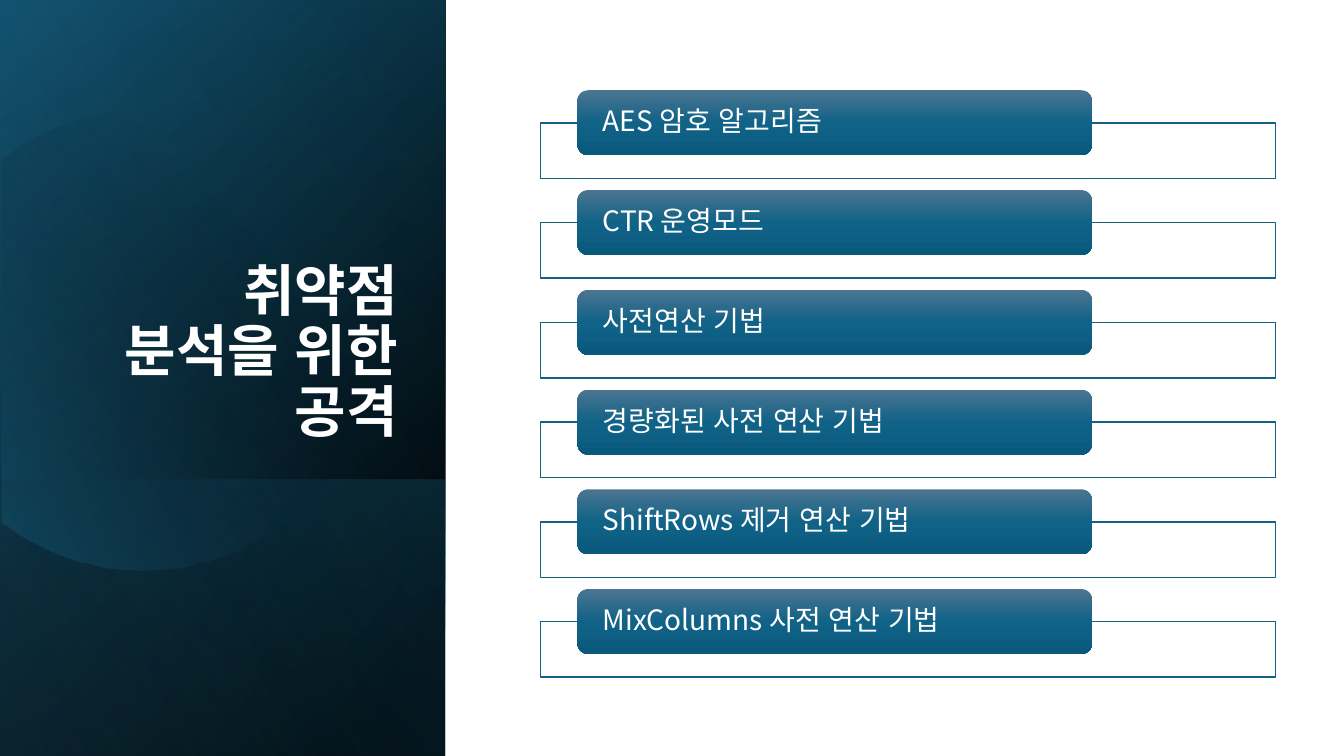
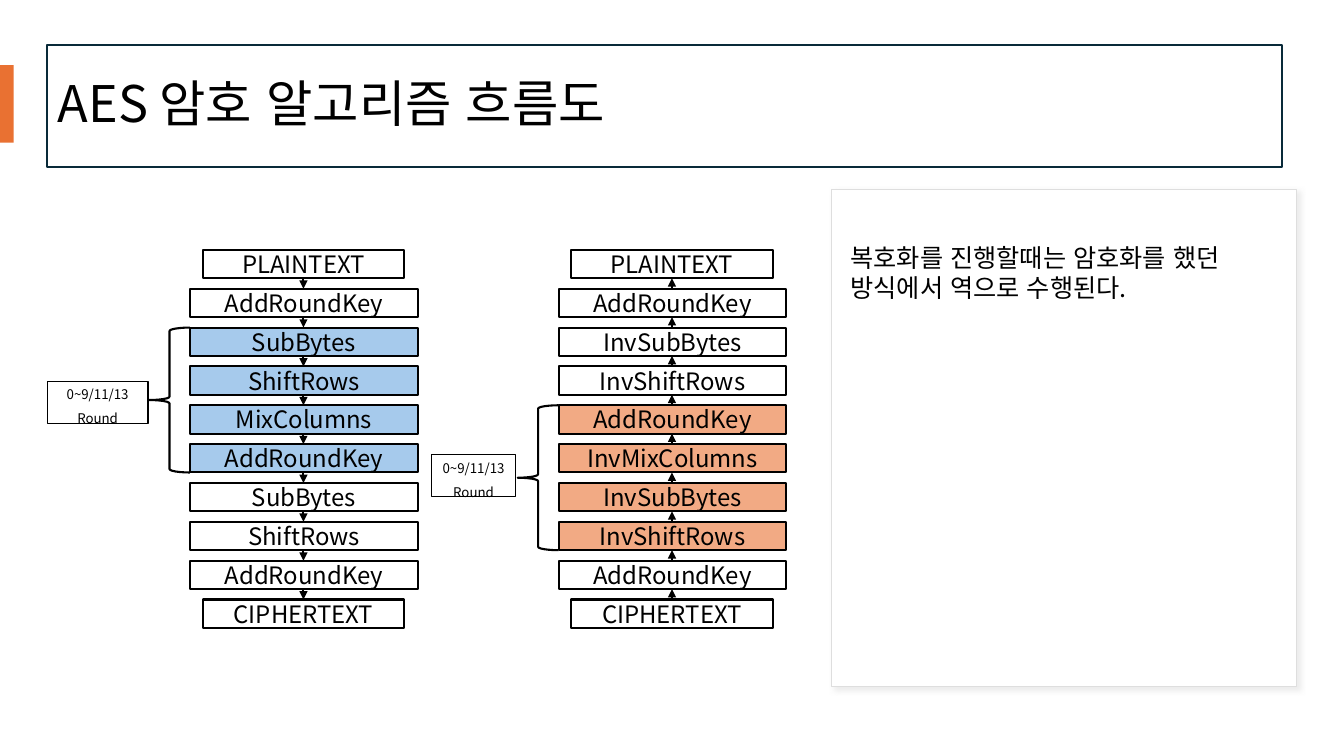
from dataclasses import dataclass
from math import cos, radians, sin

from lxml.etree import SubElement
from pptx import Presentation
from pptx.dml.color import RGBColor
from pptx.enum.lang import MSO_LANGUAGE_ID as Language
from pptx.enum.shapes import MSO_CONNECTOR as Connector, MSO_SHAPE as Preset
from pptx.enum.text import MSO_ANCHOR as Anchor, PP_ALIGN as Align
from pptx.oxml import parse_xml
from pptx.oxml.ns import nsdecls, qn
from pptx.shapes.autoshape import Shape
from pptx.slide import Slide
from pptx.util import Emu, Pt

PX = 9525


@dataclass(frozen=True)
class Theme:
    font: str = "Noto Sans CJK KR"
    white: str = "FFFFFF"
    black: str = "000000"
    blue: str = "156082"
    deep_blue: str = "104862"
    sky: str = "46B1E1"
    navy: str = "092A39"
    orange: str = "E97132"
    light_blue: str = "A6CAEC"
    light_orange: str = "F2AA84"
    card_edge: str = "DEDEDE"
    card_shadow: str = "D9D9D9"
    pill: tuple[str, ...] = ("4C7591", "106287", "09597D")
    cover_size: float = 40
    title_size: float = 36
    item_size: float = 20
    note_size: float = 18
    step_size: float = 17.1
    label_size: float = 9.5


THEME = Theme()


@dataclass(frozen=True)
class Rect:
    left: int
    top: int
    width: int
    height: int

    def emu(self) -> tuple[Emu, ...]:
        return tuple(Emu(n * PX) for n in (self.left, self.top, self.width, self.height))


@dataclass(frozen=True)
class Stop:
    position: int
    color: str
    alpha: int = 100


@dataclass(frozen=True)
class TextStyle:
    size: float
    color: str = THEME.black
    bold: bool = False
    align: Align = Align.LEFT
    anchor: Anchor = Anchor.MIDDLE
    spacing: float = 1.0
    after: float = 0
    inset: tuple[int, int] = (10, 5)
    wrap: bool = True


@dataclass(frozen=True)
class Flow:
    center: int
    steps: tuple[str, ...]
    loop_start: int
    loop_color: str
    upward: bool
    label: Rect


COVER_TITLE = TextStyle(THEME.cover_size, THEME.white, True, Align.RIGHT, Anchor.BOTTOM, 0.9)
PAGE_TITLE = TextStyle(THEME.title_size, spacing=0.9)
ITEM = TextStyle(THEME.item_size, THEME.white, spacing=0.9, inset=(21, 0))
STEP = TextStyle(THEME.step_size, align=Align.CENTER, inset=(0, 0))
LABEL = TextStyle(THEME.label_size, align=Align.CENTER, anchor=Anchor.TOP, after=6, inset=(5, 5))
NOTE = TextStyle(THEME.note_size, anchor=Anchor.TOP, wrap=False)

PANEL = Rect(0, 0, 424, 720)
PANEL_FOOT = Rect(0, 457, 424, 263)
ITEMS = (
    "AES 암호 알고리즘",
    "CTR 운영모드",
    "사전연산 기법",
    "경량화된 사전 연산 기법",
    "ShiftRows 제거 연산 기법",
    "MixColumns 사전 연산 기법",
)
ITEM_PITCH = 95

STEP_TOP, STEP_PITCH, STEP_HEIGHT = 238, 37, 27
STEP_WIDTH, END_WIDTH, BRACE_WIDTH = 217, 192, 39
LOOP_LENGTH = 4
FLOWS = (
    Flow(
        289,
        ("PLAINTEXT", "AddRoundKey", "SubBytes", "ShiftRows", "MixColumns",
         "AddRoundKey", "SubBytes", "ShiftRows", "AddRoundKey", "CIPHERTEXT"),
        2, THEME.light_blue, False, Rect(45, 363, 96, 40),
    ),
    Flow(
        640,
        ("PLAINTEXT", "AddRoundKey", "InvSubBytes", "InvShiftRows", "AddRoundKey",
         "InvMixColumns", "InvSubBytes", "InvShiftRows", "AddRoundKey", "CIPHERTEXT"),
        4, THEME.light_orange, True, Rect(411, 433, 80, 40),
    ),
)


def rgb(color: str) -> RGBColor:
    return RGBColor.from_string(color)


def write(box: Shape, lines: tuple[str, ...], style: TextStyle) -> None:
    frame = box.text_frame
    frame.word_wrap = style.wrap
    frame.vertical_anchor = style.anchor
    frame.margin_left = frame.margin_right = Emu(style.inset[0] * PX)
    frame.margin_top = frame.margin_bottom = Emu(style.inset[1] * PX)
    for index, line in enumerate(lines):
        para = frame.add_paragraph() if index else frame.paragraphs[0]
        para.alignment = style.align
        para.line_spacing = style.spacing
        para.space_after = Pt(style.after)
        span = para.add_run()
        span.text = line
        font = span.font
        font.size = Pt(style.size)
        font.bold = style.bold
        font.color.rgb = rgb(style.color)
        font.name = THEME.font
        font.language_id = Language.KOREAN
        SubElement(span._r.get_or_add_rPr(), qn("a:ea")).set("typeface", THEME.font)


def paint(shape: Shape, fill: str | None, line: str | None, weight: float) -> None:
    shape.shadow.inherit = False
    if fill:
        shape.fill.solid()
        shape.fill.fore_color.rgb = rgb(fill)
    else:
        shape.fill.background()
    if line:
        shape.line.color.rgb = rgb(line)
        shape.line.width = Pt(weight)
    else:
        shape.line.fill.background()


def draw(page: Slide, rect: Rect, fill: str | None = None, line: str | None = None,
         weight: float = 1, preset: Preset = Preset.RECTANGLE) -> Shape:
    shape = page.shapes.add_shape(preset, *rect.emu())
    paint(shape, fill, line, weight)
    return shape


def shade(shape: Shape, stops: tuple[Stop, ...], angle: int) -> None:
    marks = "".join(
        f'<a:gs pos="{stop.position * 1000}"><a:srgbClr val="{stop.color}">'
        f'<a:alpha val="{stop.alpha * 1000}"/></a:srgbClr></a:gs>'
        for stop in stops
    )
    gradient = parse_xml(
        f'<a:gradFill {nsdecls("a")} rotWithShape="1"><a:gsLst>{marks}</a:gsLst>'
        f'<a:lin ang="{angle * 60000}" scaled="0"/></a:gradFill>'
    )
    properties = shape._element.spPr
    properties.replace(properties.find(qn("a:noFill")), gradient)


def add_text(page: Slide, rect: Rect, lines: tuple[str, ...], style: TextStyle) -> None:
    write(page.shapes.add_textbox(*rect.emu()), lines, style)


def add_arrow(page: Slide, x: int, start: int, end: int) -> None:
    arrow = page.shapes.add_connector(
        Connector.STRAIGHT, *(Emu(n * PX) for n in (x, start, x, end)))
    arrow.line.color.rgb = rgb(THEME.black)
    arrow.line.width = Pt(1.5)
    SubElement(arrow.line._get_or_add_ln(), qn("a:tailEnd")).set("type", "triangle")
    SubElement(arrow._element.spPr, qn("a:effectLst"))


def add_disc(page: Slide) -> None:
    points = [
        (max(0, round(137 + 219 * cos(radians(angle)))), round(324 + 219 * sin(radians(angle))))
        for angle in range(-128, 129, 2)
    ]
    builder = page.shapes.build_freeform(*points[0], scale=PX)
    builder.add_line_segments(points[1:], close=True)
    disc = builder.convert_to_shape()
    paint(disc, None, None, 0)
    shade(disc, (Stop(29, THEME.black, 0), Stop(100, THEME.blue, 43)), 134)


def add_panel(page: Slide) -> None:
    def layer(rect: Rect, angle: int, *stops: Stop) -> None:
        shade(draw(page, rect), stops, angle)

    layer(PANEL, 220, Stop(8, THEME.black), Stop(100, THEME.deep_blue))
    layer(PANEL, 240, Stop(0, THEME.black, 0), Stop(99, THEME.blue, 46))
    layer(PANEL_FOOT, 140, Stop(2, THEME.blue, 29), Stop(100, THEME.black, 30))
    add_disc(page)
    layer(PANEL, 150, Stop(0, THEME.black, 0), Stop(99, THEME.sky, 11))


def add_item(page: Slide, index: int, text: str) -> None:
    shift = index * ITEM_PITCH
    draw(page, Rect(515, 117 + shift, 700, 53), THEME.white, THEME.blue)
    pill = draw(page, Rect(550, 86 + shift, 490, 62), preset=Preset.ROUNDED_RECTANGLE)
    shade(pill, tuple(Stop(50 * n, color) for n, color in enumerate(THEME.pill)), 90)
    write(pill, (text,), ITEM)


def add_flow(page: Slide, flow: Flow) -> None:
    last = len(flow.steps) - 1
    loop = range(flow.loop_start, flow.loop_start + LOOP_LENGTH)
    for index, step in enumerate(flow.steps):
        top = STEP_TOP + index * STEP_PITCH
        width = END_WIDTH if index in (0, last) else STEP_WIDTH
        fill = flow.loop_color if index in loop else THEME.white
        rect = Rect(flow.center - width // 2, top, width, STEP_HEIGHT)
        write(draw(page, rect, fill, THEME.black, 1.5), (step,), STEP)
        if index < last:
            ends = (top + STEP_HEIGHT, top + STEP_PITCH)
            add_arrow(page, flow.center, *(reversed(ends) if flow.upward else ends))
    brace = Rect(
        flow.center - STEP_WIDTH // 2 - BRACE_WIDTH,
        STEP_TOP + flow.loop_start * STEP_PITCH,
        BRACE_WIDTH,
        (LOOP_LENGTH - 1) * STEP_PITCH + STEP_HEIGHT,
    )
    draw(page, brace, None, THEME.black, 1.5, Preset.LEFT_BRACE)
    write(draw(page, flow.label, None, THEME.black, 0.75), ("0~9/11/13", "Round"), LABEL)


def add_card(page: Slide) -> None:
    card = draw(page, Rect(792, 180, 443, 474), THEME.white, THEME.card_edge, 0.75)
    effects = card._element.spPr.find(qn("a:effectLst"))
    effects.append(parse_xml(
        f'<a:outerShdw {nsdecls("a")} blurRad="{Pt(4)}" dist="{Pt(3)}" dir="2700000">'
        f'<a:srgbClr val="{THEME.card_shadow}"><a:alpha val="50000"/></a:srgbClr></a:outerShdw>'
    ))
    lines = ("복호화를 진행할때는 암호화를 했던", "방식에서 역으로 수행된다.")
    add_text(page, Rect(800, 226, 418, 68), lines, NOTE)


def build_agenda(page: Slide) -> None:
    add_panel(page)
    add_text(page, Rect(62, 177, 327, 251), ("취약점 분석을 위한 공격",), COVER_TITLE)
    for index, text in enumerate(ITEMS):
        add_item(page, index, text)


def build_flowchart(page: Slide) -> None:
    title = draw(page, Rect(45, 43, 1176, 116), None, THEME.navy, 1.5)
    write(title, ("AES 암호 알고리즘 흐름도",), PAGE_TITLE)
    draw(page, Rect(0, 62, 13, 74), THEME.orange)
    add_card(page)
    for flow in FLOWS:
        add_flow(page, flow)


def main() -> None:
    deck = Presentation()
    deck.slide_width, deck.slide_height = Emu(1280 * PX), Emu(720 * PX)
    for build in (build_agenda, build_flowchart):
        build(deck.slides.add_slide(deck.slide_layouts[6]))
    deck.save("out.pptx")


if __name__ == "__main__":
    main()
